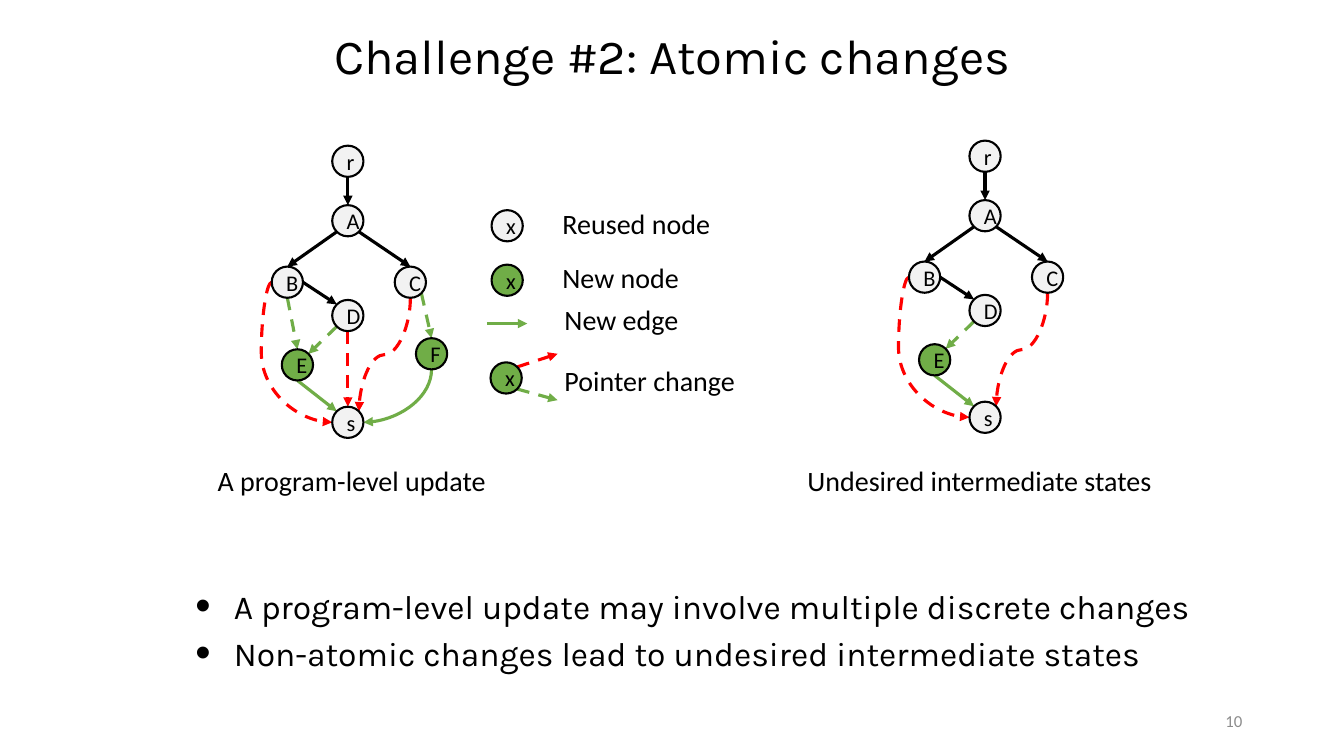
from lxml import etree
from math import cos, radians, sin
from pptx import Presentation
from pptx.dml.color import RGBColor
from pptx.enum.dml import MSO_LINE
from pptx.enum.shapes import MSO_CONNECTOR, MSO_SHAPE
from pptx.enum.text import MSO_ANCHOR, PP_ALIGN
from pptx.oxml.ns import qn
from pptx.util import Inches, Pt

BLACK = RGBColor(0x00, 0x00, 0x00)
GRAY = RGBColor(0x8C, 0x8C, 0x8C)
LIGHT = RGBColor(0xF2, 0xF2, 0xF2)
GREEN = RGBColor(0x70, 0xAD, 0x47)
RED = RGBColor(0xFF, 0x00, 0x00)

NODE = 0.31
SITES = {"right": 0, "bottom right": 45, "bottom": 90, "bottom left": 135,
         "left": 180, "top left": 225, "top": 270, "top right": 315}
NODES = {"r": (0.85, 0.15), "A": (0.85, 0.74), "B": (0.25, 1.35),
         "C": (1.47, 1.35), "D": (0.85, 1.68), "E": (0.35, 2.17),
         "F": (1.68, 2.06), "s": (0.85, 2.74)}
NEW_NODES = "EF"
STRAIGHT, DOWN, AROUND = "straight", "down", "around"
EDGES = [
    ("r", "bottom", "A", "top", BLACK, False, STRAIGHT),
    ("A", "bottom left", "B", "top", BLACK, False, STRAIGHT),
    ("A", "bottom right", "C", "top", BLACK, False, STRAIGHT),
    ("B", "right", "D", "top left", BLACK, False, STRAIGHT),
    ("D", "bottom left", "E", "top right", GREEN, True, STRAIGHT),
    ("E", "bottom", "s", "top left", GREEN, False, STRAIGHT),
    ("C", "bottom", "s", "top right", RED, True, DOWN),
    ("B", "left", "s", "left", RED, True, AROUND),
]
UPDATE_EDGES = EDGES + [
    ("B", "bottom", "E", "top", GREEN, True, STRAIGHT),
    ("C", "bottom right", "F", "top", GREEN, True, STRAIGHT),
    ("D", "bottom", "s", "top", RED, True, STRAIGHT),
    ("F", "bottom", "s", "right", GREEN, False, DOWN),
]


def style(p, size, color=BLACK, font="Calibri", align=PP_ALIGN.LEFT):
    p.alignment = align
    for r in p.runs:
        r.font.size = Pt(size)
        r.font.name = font
        r.font.color.rgb = color


def add_text(s, text, x, y, w, h, size=20, color=BLACK, align=PP_ALIGN.LEFT):
    tf = s.shapes.add_textbox(Inches(x), Inches(y), Inches(w), Inches(h)).text_frame
    tf.word_wrap = True
    tf.text = text
    style(tf.paragraphs[0], size, color, align=align)
    return tf


def add_node(s, label, center, fill):
    cx, cy = center
    sp = s.shapes.add_shape(MSO_SHAPE.OVAL, Inches(cx - NODE / 2),
                            Inches(cy - NODE / 2), Inches(NODE), Inches(NODE))
    sp.shadow.inherit = False
    sp.fill.solid()
    sp.fill.fore_color.rgb = fill
    sp.line.color.rgb = BLACK
    sp.line.width = Pt(1.5)
    tf = sp.text_frame
    tf.vertical_anchor = MSO_ANCHOR.MIDDLE
    tf.text = label
    style(tf.paragraphs[0], 16, align=PP_ALIGN.CENTER)


def site(center, name):
    a = radians(SITES[name])
    return center[0] + NODE / 2 * cos(a), center[1] + NODE / 2 * sin(a)


def add_arrow(s, start, end, color, dashed=False, kind=MSO_CONNECTOR.STRAIGHT):
    cxn = s.shapes.add_connector(kind, *[Inches(v) for v in (*start, *end)])
    cxn.line.color.rgb = color
    cxn.line.width = Pt(2.25)
    if dashed:
        cxn.line.dash_style = MSO_LINE.DASH
    spPr = cxn._element.spPr
    etree.SubElement(spPr.find(qn("a:ln")), qn("a:tailEnd"), type="triangle")
    etree.SubElement(spPr, qn("a:effectLst"))
    return cxn


def set_adjust(geom, value):
    etree.SubElement(geom.get_or_add_avLst(), qn("a:gd"), name="adj1", fmla=f"val {value}")


def add_curve_down(s, start, end, color, dashed, side_entry):
    cx, cy = (start[0] + end[0]) / 2, (start[1] + end[1]) / 2
    w, h = end[1] - start[1], start[0] - end[0]
    cxn = add_arrow(s, (cx - w / 2, cy - h / 2), (cx + w / 2, cy + h / 2),
                    color, dashed, MSO_CONNECTOR.CURVE)
    spPr = cxn._element.spPr
    spPr.find(qn("a:xfrm")).set("rot", "5400000")
    geom = spPr.find(qn("a:prstGeom"))
    if side_entry:
        geom.set("prst", "curvedConnector2")
    else:
        set_adjust(geom, 50000)


def add_curve_around(s, start, end, color, dashed):
    cxn = add_arrow(s, start, end, color, dashed, MSO_CONNECTOR.CURVE)
    set_adjust(cxn._element.spPr.find(qn("a:prstGeom")), -17200)


def add_graph(s, x, y, names, edges):
    centers = {n: (x + NODES[n][0], y + NODES[n][1]) for n in names}
    for source, out, target, into, color, dashed, route in edges:
        start, end = site(centers[source], out), site(centers[target], into)
        if route == DOWN:
            add_curve_down(s, start, end, color, dashed, into == "right")
        elif route == AROUND:
            add_curve_around(s, start, end, color, dashed)
        else:
            add_arrow(s, start, end, color, dashed)
    for n in names:
        add_node(s, n, centers[n], GREEN if n in NEW_NODES else LIGHT)


def add_legend(s, x, y):
    for label, dx, dy, w in (("Reused node", 0.65, 0, 1.86), ("New node", 0.65, 0.54, 1.86),
                             ("New edge", 0.67, 0.95, 1.86), ("Pointer change", 0.67, 1.56, 2.01)):
        add_text(s, label, x + dx, y + dy, w, 0.44)
    add_node(s, "x", (x + 0.2, y + 0.24), LIGHT)
    add_node(s, "x", (x + 0.2, y + 0.78), GREEN)
    add_arrow(s, (x, y + 1.21), (x + 0.4, y + 1.21), GREEN)
    pointer = (x + 0.19, y + 1.75)
    add_arrow(s, site(pointer, "top right"), (x + 0.7, y + 1.51), RED, True)
    add_arrow(s, site(pointer, "bottom right"), (x + 0.7, y + 1.97), GREEN, True)
    add_node(s, "x", pointer, GREEN)


def add_title(s, text, x, y, w, h):
    sp = s.shapes.title
    sp.left, sp.top, sp.width, sp.height = [Inches(v) for v in (x, y, w, h)]
    tf = sp.text_frame
    tf.vertical_anchor = MSO_ANCHOR.MIDDLE
    tf.text = text
    style(tf.paragraphs[0], 35, font="Karla", align=PP_ALIGN.CENTER)


def add_bullets(s, lines, x, y, w, h):
    tf = add_text(s, lines[0], x, y, w, h)
    for line in lines[1:]:
        tf.add_paragraph().text = line
    for p in tf.paragraphs:
        style(p, 24, font="Karla")
        p.space_before = Pt(4.8)
        pPr = p._p.get_or_add_pPr()
        pPr.set("marL", str(Inches(0.38)))
        pPr.set("indent", str(Inches(-0.38)))
        etree.SubElement(pPr, qn("a:buSzPct"), val="130000")
        etree.SubElement(pPr, qn("a:buFont"), typeface="Arial")
        etree.SubElement(pPr, qn("a:buChar"), char="•")


def main():
    prs = Presentation()
    prs.slide_width, prs.slide_height = Inches(13.33), Inches(7.5)
    s = prs.slides.add_slide(prs.slide_layouts[5])
    add_title(s, "Challenge #2: Atomic changes", 1.21, 0, 10.92, 1.08)
    add_graph(s, 2.6, 1.45, "rABCDEFs", UPDATE_EDGES)
    add_text(s, "A program-level update", 2.06, 4.55, 2.97, 0.44)
    add_legend(s, 4.83, 2)
    add_graph(s, 8.92, 1.4, "rABCDEs", EDGES)
    add_text(s, "Undesired intermediate states", 7.91, 4.55, 3.7, 0.44)
    add_bullets(s, ["A program-level update may involve multiple discrete changes",
                    "Non-atomic changes lead to undesired intermediate states"],
                1.84, 5.76, 10.41, 1.11)
    tf = add_text(s, "10", 9.42, 6.95, 3, 0.4, 12, GRAY, PP_ALIGN.RIGHT)
    tf.vertical_anchor = MSO_ANCHOR.MIDDLE
    prs.save("out.pptx")


if __name__ == "__main__":
    main()
